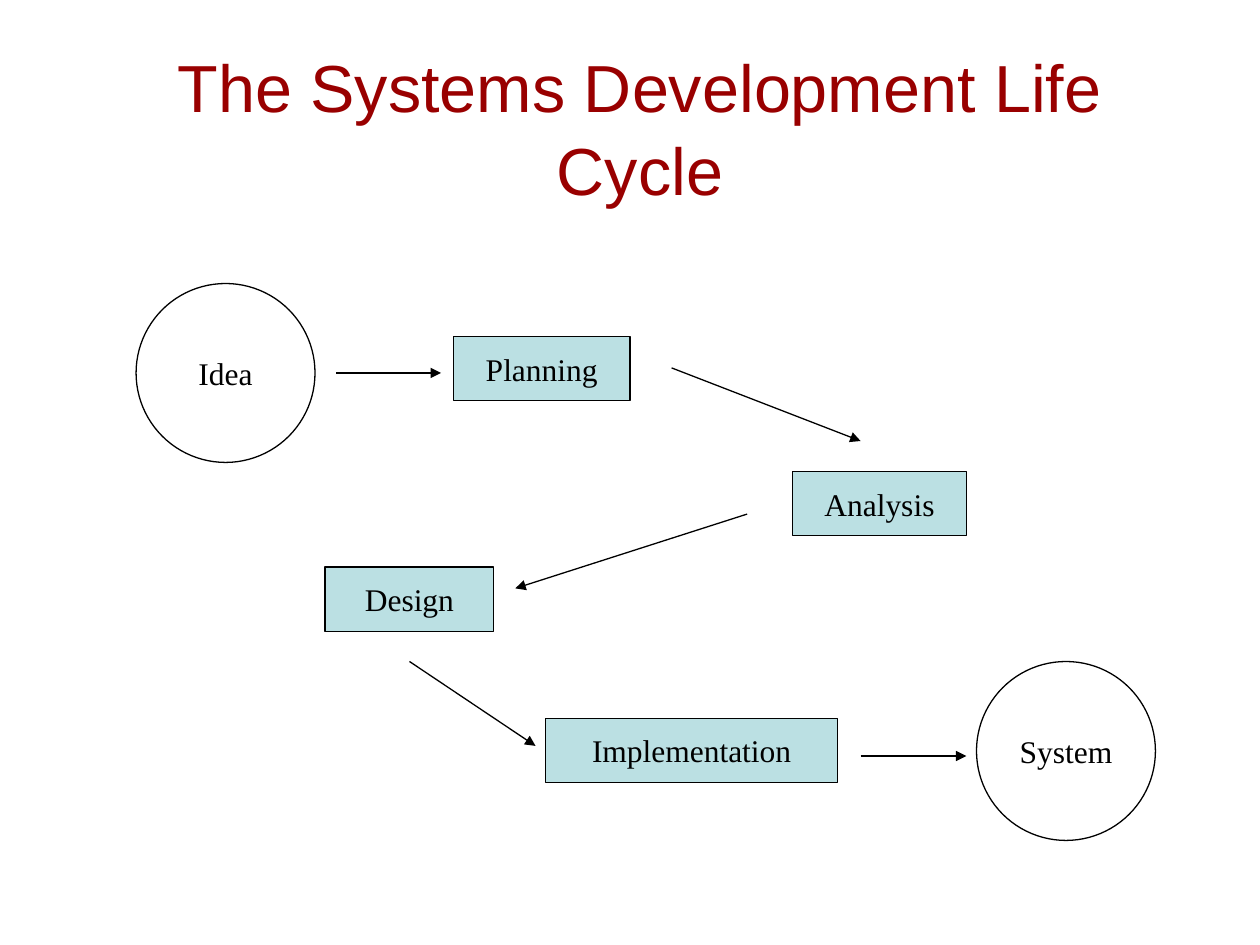
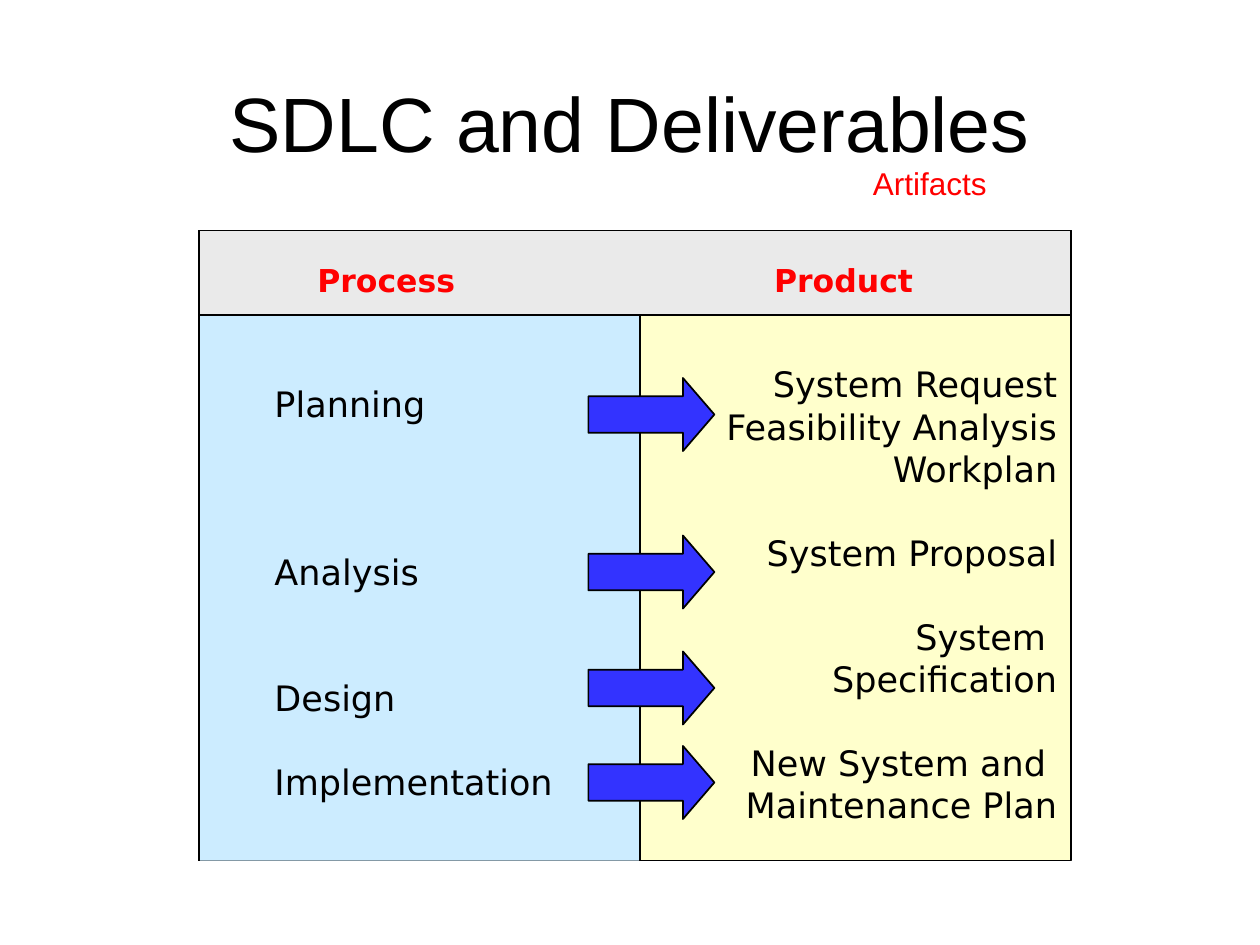
"""Build two slides on the systems development life cycle."""
from lxml import etree
from pptx import Presentation
from pptx.dml.color import RGBColor
from pptx.enum.shapes import MSO_CONNECTOR, MSO_SHAPE
from pptx.enum.text import MSO_ANCHOR, MSO_AUTO_SIZE, PP_ALIGN
from pptx.oxml.ns import qn
from pptx.util import Pt

PX = 9144
BLACK = RGBColor(0x00, 0x00, 0x00)
MAROON = RGBColor(0x99, 0x00, 0x00)
RED = RGBColor(0xFF, 0x00, 0x00)
TEAL = RGBColor(0xBB, 0xE0, 0xE3)
CREAM = RGBColor(0xFF, 0xFF, 0xCC)
SKY = RGBColor(0xCC, 0xEC, 0xFF)
GREY = RGBColor(0xEA, 0xEA, 0xEA)
BLUE = RGBColor(0x33, 0x33, 0xFF)

OVAL, RECT, ARROW = MSO_SHAPE.OVAL, MSO_SHAPE.RECTANGLE, MSO_SHAPE.RIGHT_ARROW
LINE = MSO_CONNECTOR.STRAIGHT
LEFT, CENTER, RIGHT = PP_ALIGN.LEFT, PP_ALIGN.CENTER, PP_ALIGN.RIGHT
TOP, MIDDLE = MSO_ANCHOR.TOP, MSO_ANCHOR.MIDDLE
FIXED = MSO_AUTO_SIZE.NONE

SANS, SERIF, WIDE = "Arial", "Times New Roman", "DejaVu Sans"
LABEL = {"name": SERIF, "size": Pt(18)}
HEAD = {"name": WIDE, "size": Pt(18), "bold": True}
ITEM = {"name": WIDE, "size": Pt(20)}
NOTE = {"name": SANS, "size": Pt(18)}
PITCH = 24


def assign(target, values):
    """Set each named value on the target."""
    for name, value in values.items():
        setattr(target, name, value)


class Deck:
    """Hold the presentation, its style and the current slide."""

    def __init__(self):
        """Start an empty deck of 10 by 7.5 inches."""
        self.prs = Presentation()
        self.prs.slide_width = 1000 * PX
        self.prs.slide_height = 750 * PX
        self.slide = None

    def page(self, text, x, y, size, color, pitch=1.0):
        """Add a slide with a title."""
        self.slide = self.prs.slides.add_slide(self.prs.slide_layouts[5])
        title = self.slide.shapes.title
        place = {"left": x, "top": y, "width": 900, "height": 125}
        assign(title, {key: value * PX for key, value in place.items()})
        self.label(title, [(text, 0)], {"name": SANS, "size": Pt(size)}, color)
        title.text_frame.margin_top = 13 * PX
        title.text_frame.paragraphs[0].line_spacing = pitch

    def label(self, shape, rows, font, color=BLACK, align=CENTER,
              anchor=MIDDLE, wrap=True, pitch=None):
        """Fill a shape with rows of text, each with a gap counted in lines."""
        frame = shape.text_frame
        assign(frame, {"auto_size": FIXED, "word_wrap": wrap,
                       "vertical_anchor": anchor})
        for i, (text, gap) in enumerate(rows):
            para = frame.add_paragraph() if i else frame.paragraphs[0]
            assign(para, {"alignment": align, "line_spacing": pitch,
                          "space_before": Pt(gap * PITCH)})
            run = para.add_run()
            run.text = text
            assign(run.font, font)
            run.font.color.rgb = color

    def shape(self, kind, box, fill=None, weight=1.0):
        """Add a preset shape; no fill or no weight leaves that part out."""
        item = self.slide.shapes.add_shape(kind, *(v * PX for v in box))
        item.shadow.inherit = False
        if fill is None:
            item.fill.background()
        else:
            item.fill.solid()
            item.fill.fore_color.rgb = fill
        if weight:
            item.line.color.rgb = BLACK
            item.line.width = Pt(weight)
        else:
            item.line.fill.background()
        return item

    def node(self, text, kind, box, fill=None):
        """Add a labelled step of the cycle."""
        self.label(self.shape(kind, box, fill, 0.75), [(text, 0)], LABEL)

    def text(self, box, rows, font, **style):
        """Add a text box."""
        item = self.slide.shapes.add_textbox(*(v * PX for v in box))
        self.label(item, rows, font, **style)

    def line(self, ends, weight=1.0, tip=False):
        """Add a straight line, with an arrowhead if wanted."""
        item = self.slide.shapes.add_connector(LINE, *(v * PX for v in ends))
        item.line.color.rgb = BLACK
        item.line.width = Pt(weight)
        props = item.element.spPr
        if tip:
            tail = etree.SubElement(props.find(qn("a:ln")), qn("a:tailEnd"))
            tail.set("type", "triangle")
        etree.SubElement(props, qn("a:effectLst"))


def cycle(deck):
    """Draw the flow from idea to system."""
    deck.page("The Systems Development Life Cycle", 58, 33, 38, MAROON, 1.05)
    for text, x, y in (("Idea", 108, 225), ("System", 775, 525)):
        deck.node(text, OVAL, (x, y, 142, 142))
    steps = (("Planning", 360, 267, 140), ("Analysis", 629, 374, 138),
             ("Design", 258, 450, 134), ("Implementation", 433, 570, 232))
    for text, x, y, width in steps:
        deck.node(text, RECT, (x, y, width, 51), TEAL)
    for ends in ((267, 296, 350, 296), (533, 292, 683, 350),
                 (593, 408, 409, 467), (325, 525, 425, 592),
                 (683, 600, 767, 600)):
        deck.line(ends, 0.75, tip=True)


def outputs(deck):
    """Draw each process beside its products."""
    deck.page("SDLC and Deliverables", 50, 30, 44, BLACK)
    deck.shape(RECT, (158, 183, 692, 500), CREAM)
    deck.shape(RECT, (158, 251, 350, 432), SKY, 0)
    deck.shape(RECT, (158, 183, 692, 67), GREY)
    for text, x in (("Process", 224), ("Product", 587)):
        deck.text((x, 197, 165, 50), [(text, 0)], HEAD, color=RED)
    tasks = (("Planning", 0), ("Analysis", 3), ("Design", 2),
             ("Implementation", 1))
    deck.text((208, 299, 242, 343), tasks, ITEM, align=LEFT, pitch=Pt(PITCH))
    goods = (("System Request", 0), ("Feasibility Analysis", 0),
             ("Workplan", 0), ("System Proposal", 1), ("System ", 1),
             ("Specification", 0), ("New System and ", 1),
             ("Maintenance Plan", 0))
    deck.text((550, 283, 299, 377), goods, ITEM, align=RIGHT, pitch=Pt(PITCH))
    for x in (158, 508):
        deck.line((x, 250, x, 683))
    for y in (300, 425, 517, 592):
        arrow = deck.shape(ARROW, (467, y, 100, 58), BLUE)
        arrow.adjustments[1] = 0.43
    deck.text((683, 125, 111, 40), [("Artifacts", 0)], NOTE, color=RED,
              align=LEFT, anchor=TOP, wrap=False)


def main():
    """Build and save the deck."""
    deck = Deck()
    cycle(deck)
    outputs(deck)
    deck.prs.save("out.pptx")


if __name__ == "__main__":
    main()
